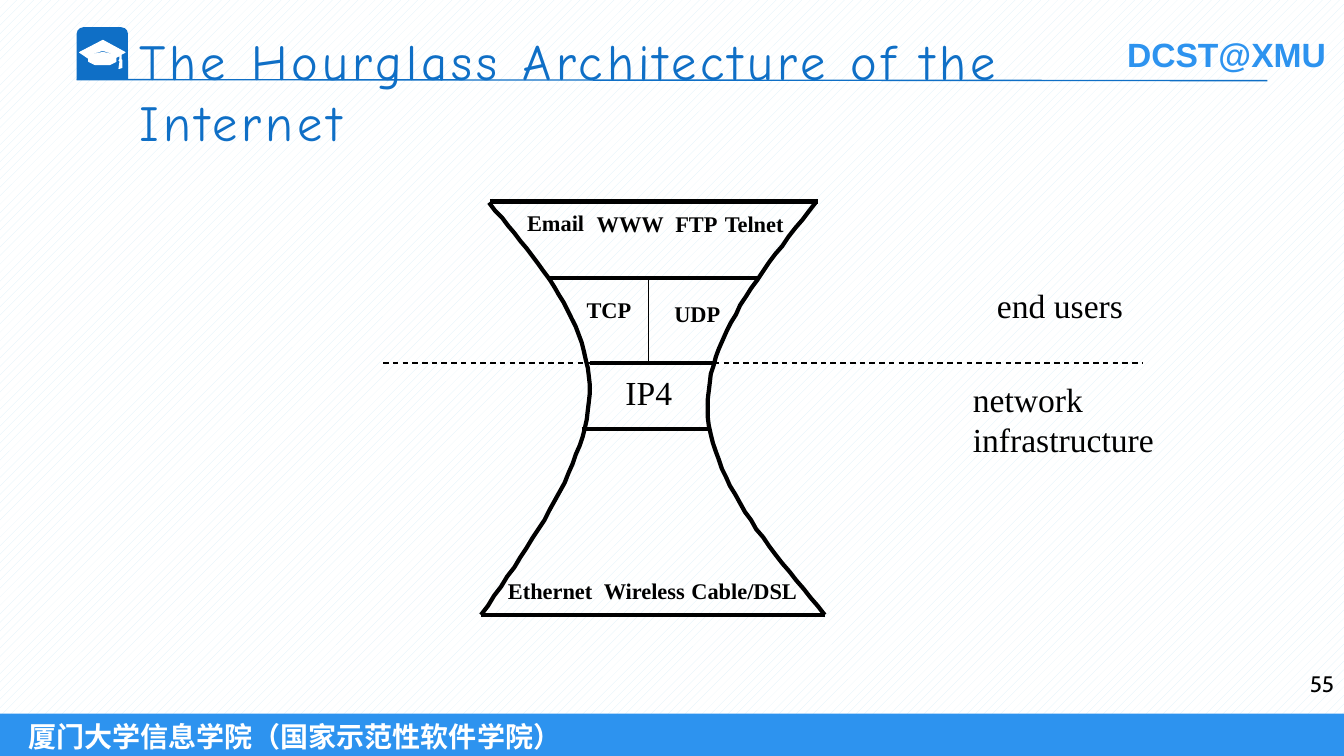
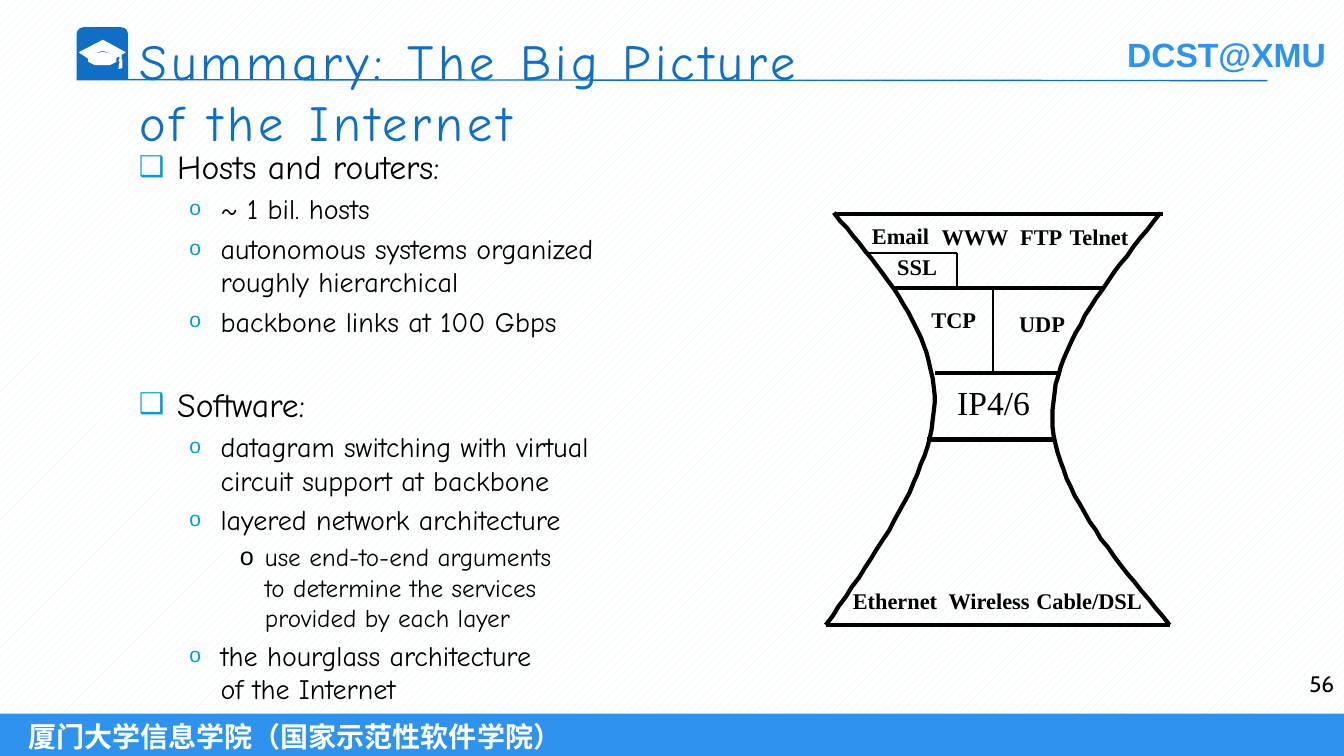
from lxml import etree
from pptx import Presentation
from pptx import util as u
from pptx.dml.color import RGBColor
from pptx.enum import dml, shapes, text
from pptx.oxml.ns import qn

PX = 9144  # one px is a hundredth of an inch
WIDTH, HEIGHT = 1333, 750
COLORS = {"black": "000000", "white": "FFFFFF", "blue": "0F6FC6",
          "sky": "2D93EF", "pale": "DBEFF9", "bullet": "009DD9"}
HEADING, SERIF, SANS, NUMBER = "Comic Neue", "Times New Roman", "Arial", "Cabin"

# Bullet levels: text size, left margin, hanging indent, space before, sign, colour, percent
LEVELS = [(24, 38, 38, 5, "❑", "bullet", 85),
          (20, 81, 31, 4, "o", "bullet", 75),
          (18, 125, 25, 4, "o", "black", 100)]
SECTION_GAP = 33
SUMMARY = [
    (0, "Hosts and routers:"),
    (1, "~ 1 bil. hosts"),
    (1, "autonomous systems organized\vroughly hierarchical"),
    (1, "backbone links at 100 Gbps"),
    (0, "Software:"),
    (1, "datagram switching with virtual\vcircuit support at backbone"),
    (1, "layered network architecture"),
    (2, "use end-to-end arguments\vto determine the services\vprovided by each layer"),
    (1, "the hourglass architecture\vof the Internet"),
]

# Hourglass parts, measured from its upper left corner
WALLS = [
    [(8, 1), (59, 61), (109, 122), (108, 190), (106, 258), (53, 334), (0, 410)],
    [(332, 1), (278, 69), (223, 137), (225, 205), (226, 273), (284, 342), (341, 410)],
]
FLOORS = [(66, 275, 76), (108, 233, 160), (100, 225, 226), (0, 341, 410)]
APPLICATIONS = [("Email", 36, 3, 77), ("WWW", 105, 4, 87),
                ("FTP", 183, 4, 62), ("Telnet", 232, 4, 81)]
LOWER_LABELS = [("TCP", 95, 89, 64), ("UDP", 182, 93, 66), ("Ethernet", 17, 368, 104),
                ("Wireless", 112, 368, 102), ("Cable/DSL", 199, 368, 126)]

# Graduation cap: board with cap, headband slit, tassel
CAP = [
    [(120, 59), (120, 54), (124, 52), (102, 40), (79, 52), (88, 58), (88, 61), (94, 64),
     (109, 64), (115, 61), (115, 57), (119, 55), (119, 59), (118, 60), (120, 61), (121, 60)],
    [(115, 55), (102, 52), (88, 55), (88, 54), (102, 50), (115, 54)],
    [(119, 61), (118, 68), (121, 67), (121, 61)],
]


def color(name):
    return RGBColor.from_string(COLORS[name])


def emu(*lengths):
    return [length * PX for length in lengths]


def style_runs(paragraph, size, font, ink, bold=False):
    for run in paragraph.runs:
        run.font.size, run.font.name, run.font.bold = u.Pt(size), font, bold
        run.font.color.rgb = color(ink)


def add_label(slide, box, words, size, font=SERIF, ink="black", bold=False,
              align=text.PP_ALIGN.LEFT):
    frame = slide.shapes.add_textbox(*emu(*box)).text_frame
    frame.text = words
    frame.word_wrap = False
    for paragraph in frame.paragraphs:
        paragraph.alignment = align
        style_runs(paragraph, size, font, ink, bold)


def add_line(slide, start, end, weight, ink="black", dash=None):
    line = slide.shapes.add_connector(shapes.MSO_CONNECTOR.STRAIGHT, *emu(*start, *end))
    line.line.color.rgb = color(ink)
    line.line.width = u.Pt(weight)
    if dash:
        line.line.dash_style = dash
    etree.SubElement(line.element.spPr, qn("a:effectLst"))


def add_panel(slide, kind, box, fill):
    panel = slide.shapes.add_shape(kind, *emu(*box))
    panel.shadow.inherit = False
    panel.line.fill.background()
    panel.fill.solid()
    panel.fill.fore_color.rgb = color(fill)
    return panel


def add_outline(slide, contours, weight, ink, closed):
    builder = slide.shapes.build_freeform(*contours[0][0], scale=PX)
    for index, contour in enumerate(contours):
        if index:
            builder.move_to(*contour[0])
        builder.add_line_segments(contour[1:], close=closed)
    outline = builder.convert_to_shape()
    outline.shadow.inherit = False
    outline.line.color.rgb = color(ink)
    outline.line.width = u.Pt(weight)
    if closed:
        outline.fill.solid()
        outline.fill.fore_color.rgb = color(ink)
    else:
        outline.fill.background()


def curve_points(knots, steps=24):
    """Points along a chain of cubic Bezier curves."""
    points = [knots[0]]
    for first in range(0, len(knots) - 1, 3):
        corners = knots[first:first + 4]
        for step in range(1, steps + 1):
            t = step / steps
            weights = ((1 - t) ** 3, 3 * t * (1 - t) ** 2, 3 * t * t * (1 - t), t ** 3)
            points.append(tuple(sum(w * corner[axis] for w, corner in zip(weights, corners))
                                for axis in (0, 1)))
    return points


def build_layout(layout, slide):
    """Draw the common frame once and move it to the layout."""
    for holder in list(layout.placeholders):
        if holder.placeholder_format.idx:
            layout.shapes.element.remove(holder.element)

    backdrop = add_panel(slide, shapes.MSO_SHAPE.RECTANGLE, (0, 0, WIDTH, HEIGHT), "white")
    backdrop.fill.patterned()
    backdrop.fill.pattern = dml.MSO_PATTERN.PERCENT_20
    backdrop.fill.fore_color.rgb = color("pale")
    backdrop.fill.back_color.rgb = color("white")

    footer = add_panel(slide, shapes.MSO_SHAPE.RECTANGLE, (0, 708, WIDTH, 44), "sky")
    frame = footer.text_frame
    frame.text = "厦门大学信息学院（国家示范性软件学院）"
    frame.margin_left = 28 * PX
    frame.vertical_anchor = text.MSO_ANCHOR.MIDDLE
    frame.paragraphs[0].alignment = text.PP_ALIGN.LEFT
    style_runs(frame.paragraphs[0], 20, SANS, "white", True)

    add_label(slide, (1108, 29, 220, 50), "DCST@XMU", 24, SANS, "sky", True)
    tile = add_panel(slide, shapes.MSO_SHAPE.ROUND_2_SAME_RECTANGLE, (76, 27, 51, 52), "blue")
    tile.adjustments[0] = 0.13
    add_outline(slide, CAP, 0.75, "white", True)
    add_line(slide, (76, 79), (1257, 80), 1, "blue")

    for part in list(slide.shapes):
        if not part.is_placeholder:
            layout.shapes.element.append(part.element)


def set_title(slide, words, number):
    title = slide.shapes.title
    title.left, title.top, title.width, title.height = emu(128, 25, 996, 115)
    frame = title.text_frame
    frame.text = words
    frame.word_wrap = True
    frame.auto_size = text.MSO_AUTO_SIZE.NONE
    frame.vertical_anchor = text.MSO_ANCHOR.TOP
    paragraph = frame.paragraphs[0]
    paragraph.alignment = text.PP_ALIGN.LEFT
    style_runs(paragraph, 36, HEADING, "blue")
    for run in paragraph.runs:
        run._r.get_or_add_rPr().set("spc", "300")
    add_label(slide, (1256, 660, 77, 50), number, 16, NUMBER, align=text.PP_ALIGN.RIGHT)


def add_hourglass(slide, left, top, ip_label, top_drop=0):
    def at(x, y):
        return left + x, top + y

    for wall in WALLS:
        add_outline(slide, [[at(*point) for point in curve_points(wall)]], 3, "black", False)
    for start, end, y in [(9, 334, top_drop)] + FLOORS:
        add_line(slide, at(start, y), at(end, y), 3)
    add_line(slide, at(166, 76), at(166, 160), 1)
    add_label(slide, (*at(120, 164), 93, 50), ip_label, 24, align=text.PP_ALIGN.CENTER)
    applications = [(name, x, y + top_drop, width) for name, x, y, width in APPLICATIONS]
    for name, x, y, width in applications + LOWER_LABELS:
        add_label(slide, (*at(x, y), width, 37), name, 16, bold=True)


def add_security_layer(slide, left, top):
    corner = (left + 130, top + 41)
    add_line(slide, (left + 39, top + 41), corner, 1)
    add_line(slide, corner, (left + 130, top + 76), 1)
    add_label(slide, (left + 61, top + 36, 60, 37), "SSL", 16, bold=True)


def add_bullet(paragraph, margin, hang, sign, ink, percent):
    props = paragraph._p.get_or_add_pPr()
    props.set("marL", str(margin * PX))
    props.set("indent", str(-hang * PX))
    tint = etree.SubElement(props, qn("a:buClr"))
    etree.SubElement(tint, qn("a:srgbClr"), val=COLORS[ink])
    etree.SubElement(props, qn("a:buSzPct"), val=str(percent * 1000))
    etree.SubElement(props, qn("a:buFont"), typeface=SANS)
    etree.SubElement(props, qn("a:buChar"), char=sign)


def add_summary(slide, box, items):
    frame = slide.shapes.add_textbox(*emu(*box)).text_frame
    frame.text = "\n".join(words for _, words in items)
    frame.word_wrap = True
    for index, (paragraph, (level, _)) in enumerate(zip(frame.paragraphs, items)):
        size, margin, hang, gap, sign, ink, percent = LEVELS[level]
        add_bullet(paragraph, margin, hang, sign, ink, percent)
        paragraph.level = level
        if index:
            paragraph.space_before = u.Pt(gap if level else SECTION_GAP)
        style_runs(paragraph, size, HEADING, "black")


def main():
    prs = Presentation()
    prs.slide_width, prs.slide_height = emu(WIDTH, HEIGHT)
    layout = prs.slide_layouts.get_by_name("Title Only")

    # Hourglass architecture
    architecture = prs.slides.add_slide(layout)
    build_layout(layout, architecture)
    set_title(architecture, "The Hourglass Architecture of the Internet", "55")
    add_line(architecture, (380, 360), (1133, 360), 1, dash=dml.MSO_LINE.DASH)
    add_label(architecture, (979, 278, 146, 50), "end users", 24)
    add_label(architecture, (955, 371, 201, 91), "network\ninfrastructure", 24)
    add_hourglass(architecture, 477, 200, "IP4")

    # Summary
    summary = prs.slides.add_slide(layout)
    set_title(summary, "Summary: The Big Picture\vof the Internet", "56")
    add_summary(summary, (128, 140, 890, 554), SUMMARY)
    add_hourglass(summary, 819, 210, "IP4/6", top_drop=2)
    add_security_layer(summary, 819, 210)

    prs.save("out.pptx")


if __name__ == "__main__":
    main()
